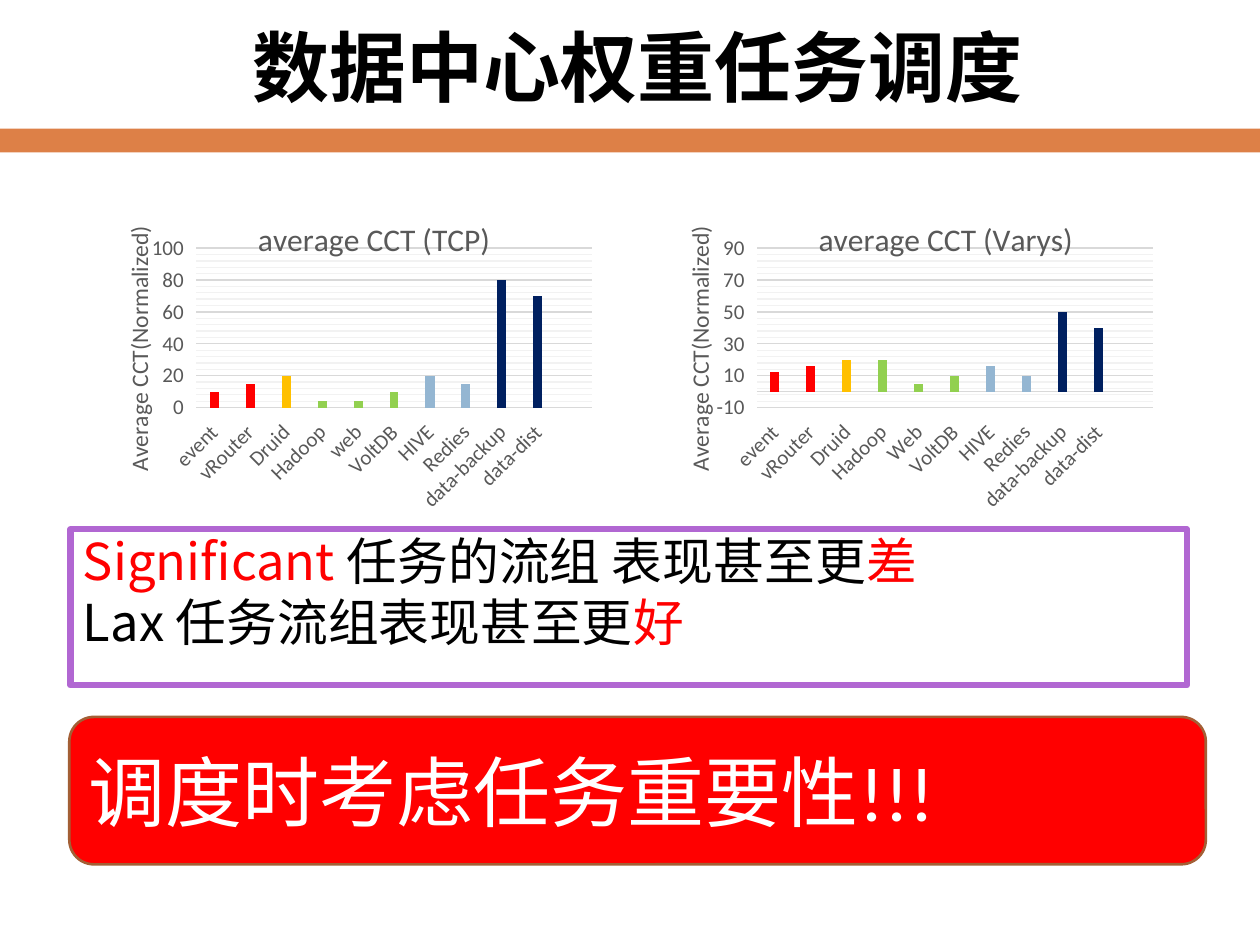
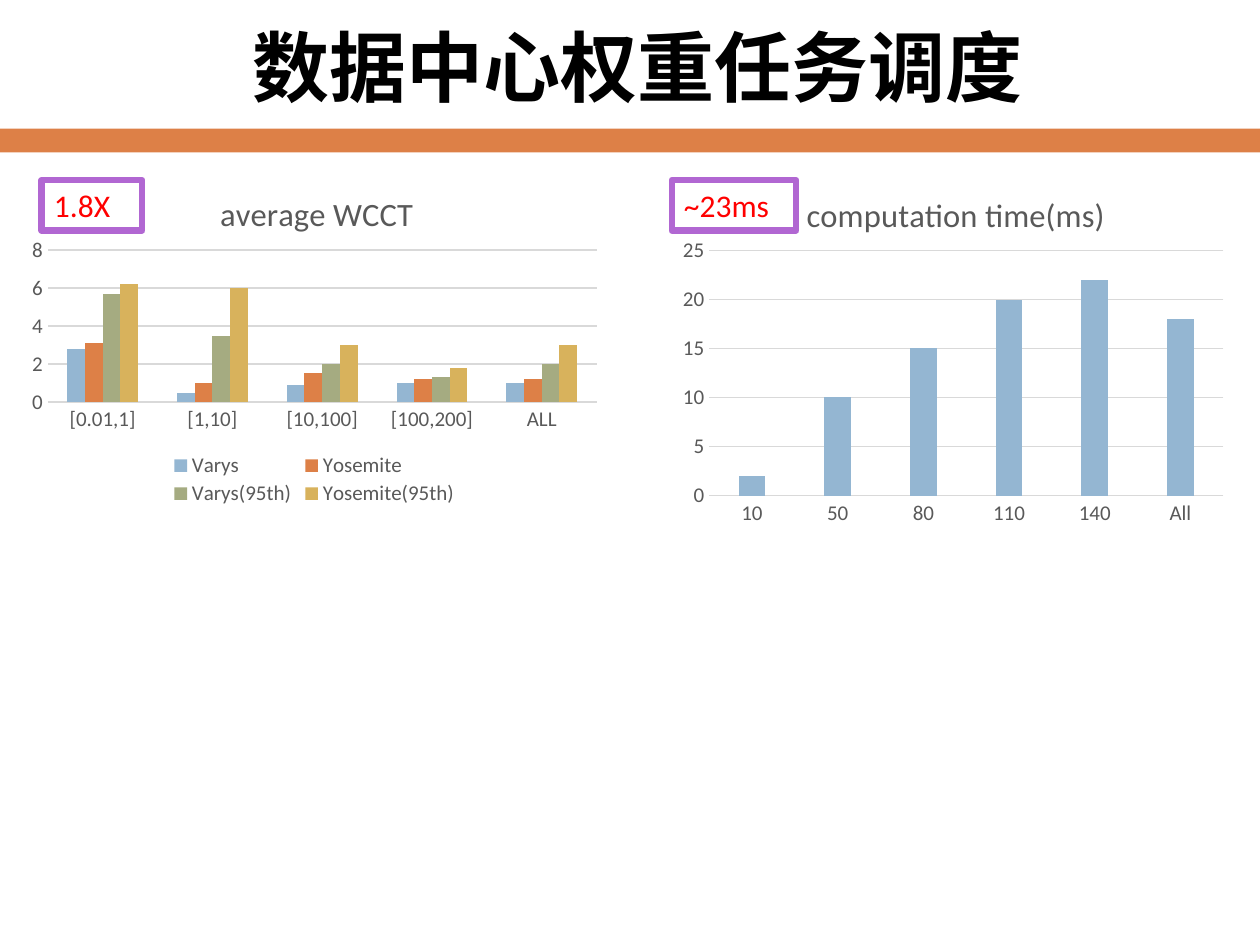
import pptx
import pptx.chart.data
import pptx.dml.color
import pptx.enum.chart
import pptx.enum.shapes
import pptx.enum.text
import pptx.oxml
import pptx.oxml.ns
import pptx.util
from pptx.util import Inches

COLORS = {
    "orange": "DD8047", "purple": "B167D2", "brown": "A35F35",
    "red": "FF0000", "black": "000000", "white": "FFFFFF",
    "gray": "595959", "grid": "D9D9D9", "minor": "F2F2F2",
    "blue": "94B6D2", "olive": "A5AB81", "gold": "D8B25C",
    "amber": "FFC000", "green": "92D050", "navy": "002060",
}
LATIN, CJK = "Calibri", "Noto Sans CJK SC"
TITLE = "数据中心权重任务调度"
TASK_COLORS = ["red"] * 2 + ["amber"] + ["green"] * 3 + ["blue"] * 2 + ["navy"] * 2
SHAPE = pptx.enum.shapes.MSO_SHAPE
MIDDLE = pptx.enum.text.MSO_ANCHOR.MIDDLE
TICK = pptx.enum.chart.XL_TICK_MARK


def rgb(name):
    return pptx.dml.color.RGBColor.from_string(COLORS[name])


def apply(obj, values):
    for key, value in values.items():
        setattr(obj, key, value)


def set_font(font, size, color, name=LATIN, bold=False):
    apply(font, {"size": pptx.util.Pt(size), "name": name, "bold": bold})
    font.color.rgb = rgb(color)


def set_line(line, color, width=0.75):
    line.color.rgb = rgb(color)
    line.width = pptx.util.Pt(width)


# Text and shapes
def add_runs(p, runs, size, name=LATIN, bold=False):
    for text, color in runs:
        r = p.add_run()
        r.text = text
        set_font(r.font, size, color, name, bold)
        ea = pptx.oxml.parse_xml(
            f'<a:ea {pptx.oxml.ns.nsdecls("a")} typeface="{CJK}"/>')
        r.font._element.find(pptx.oxml.ns.qn("a:latin")).addnext(ea)


def add_box(slide, kind, box, fill=None, line=None, width=3.5):
    sp = slide.shapes.add_shape(kind, *map(Inches, box))
    sp.shadow.inherit = False
    if fill:
        sp.fill.solid()
        sp.fill.fore_color.rgb = rgb(fill)
    else:
        sp.fill.background()
    if line:
        set_line(sp.line, line, width)
    else:
        sp.line.fill.background()
    apply(sp.text_frame, {"word_wrap": True, "vertical_anchor": MIDDLE})
    sp.text_frame.paragraphs[0].alignment = pptx.enum.text.PP_ALIGN.LEFT
    return sp


def add_badge(slide, text, left, width):
    sp = add_box(slide, SHAPE.RECTANGLE, (left, 1.43, width, 0.4), line="purple")
    add_runs(sp.text_frame.paragraphs[0], [(text, "red")], 18)


def add_findings(slide, lines):
    sp = add_box(slide, SHAPE.RECTANGLE, (0.56, 4.2, 8.86, 1.24), line="purple")
    tf = sp.text_frame
    apply(tf, {"vertical_anchor": pptx.enum.text.MSO_ANCHOR.TOP,
               "margin_top": Inches(0.1)})
    for i, runs in enumerate(lines):
        p = tf.add_paragraph() if i else tf.paragraphs[0]
        apply(p, {"alignment": pptx.enum.text.PP_ALIGN.LEFT, "line_spacing": 0.8,
                  "space_before": pptx.util.Pt(7 if i else 0)})
        add_runs(p, runs, 29, CJK)


def add_callout(slide, text):
    sp = add_box(slide, SHAPE.ROUNDED_RECTANGLE, (0.55, 5.69, 9.02, 1.17),
                 "red", "brown", 1.5)
    add_runs(sp.text_frame.paragraphs[0], [(text, "white")], 44)


def add_base_slide(prs):
    slide = prs.slides.add_slide(prs.slide_layouts[6])
    add_box(slide, SHAPE.RECTANGLE, (0, 1.02, 10, 0.19), "orange")
    tf = slide.shapes.add_textbox(*map(Inches, (0.33, 0.14, 9.46, 0.77))).text_frame
    apply(tf, {"word_wrap": True, "vertical_anchor": MIDDLE})
    tf.paragraphs[0].alignment = pptx.enum.text.PP_ALIGN.CENTER
    add_runs(tf.paragraphs[0], [(TITLE, "black")], 44, CJK, True)
    return slide


# Charts
def set_layout(element, x, y, w=None, h=None, inner=False):
    """Place a chart part by fractions of the chart area."""
    old = element.find(pptx.oxml.ns.qn("c:layout"))
    if old is not None:
        element.remove(old)
    target = '<c:layoutTarget val="inner"/>' if inner else ""
    sizes = f'<c:w val="{w}"/><c:h val="{h}"/>' if w else ""
    layout = pptx.oxml.parse_xml(
        f'<c:layout {pptx.oxml.ns.nsdecls("c")}><c:manualLayout>{target}'
        f'<c:xMode val="edge"/><c:yMode val="edge"/>'
        f'<c:x val="{x}"/><c:y val="{y}"/>{sizes}</c:manualLayout></c:layout>')
    overlay = element.find(pptx.oxml.ns.qn("c:overlay"))
    if overlay is None:
        element.insert(0, layout)
    else:
        overlay.addprevious(layout)


def set_title(title, text, size, x, y):
    p = title.text_frame.paragraphs[0]
    r = p.add_run()
    r.text = text
    set_font(r.font, size, "gray")
    set_layout(title._element, x, y)


def add_minor_gridlines(chart, color):
    lines = pptx.oxml.parse_xml(
        f'<c:minorGridlines {pptx.oxml.ns.nsdecls("c", "a")}><c:spPr>'
        f'<a:ln w="{pptx.util.Pt(0.75)}"><a:solidFill>'
        f'<a:srgbClr val="{COLORS[color]}"/></a:solidFill></a:ln>'
        f'</c:spPr></c:minorGridlines>')
    chart.element.xpath(".//c:valAx/c:majorGridlines")[0].addnext(lines)


def add_columns(slide, box, cats, series, plot, gap, overlap=0):
    """Add a column chart; series holds (name, values, colour)."""
    data = pptx.chart.data.CategoryChartData()
    data.categories = cats
    for name, values, _ in series:
        data.add_series(name, values)
    chart = slide.shapes.add_chart(
        pptx.enum.chart.XL_CHART_TYPE.COLUMN_CLUSTERED,
        *map(Inches, box), data).chart
    set_font(chart.font, 10, "black")
    apply(chart, {"has_title": False, "has_legend": False})
    columns = chart.plots[0]
    apply(columns, {"gap_width": gap, "overlap": overlap, "vary_by_categories": False})
    for ser, (_, _, color) in zip(columns.series, series):
        ser.format.fill.solid()
        ser.format.fill.fore_color.rgb = rgb(color)
    for axis in (chart.category_axis, chart.value_axis):
        apply(axis, {"major_tick_mark": TICK.NONE, "minor_tick_mark": TICK.NONE})
        set_font(axis.tick_labels.font, 12, "gray")
    set_line(chart.category_axis.format.line, "grid")
    chart.value_axis.format.line.fill.background()
    set_line(chart.value_axis.major_gridlines.format.line, "grid")
    set_layout(chart.element.xpath(".//c:plotArea")[0], *plot, inner=True)
    return chart


def add_task_chart(slide, left, name, cats, values, low, high):
    """Chart of one scheduler with a colour for each task."""
    chart = add_columns(slide, (left, 1.6, 4.24, 2.66), cats + [""],
                        [("Series 1", values + [None], "blue")],
                        (0.195, 0.139, 0.741, 0.476), 300)
    for i, color in enumerate(TASK_COLORS):
        fill = chart.plots[0].series[0].points[i].format.fill
        fill.solid()
        fill.fore_color.rgb = rgb(color)
    cat, val = chart.category_axis, chart.value_axis
    set_scale(chart, low, high, 20)
    apply(val, {"minor_unit": 4, "major_tick_mark": TICK.OUTSIDE})
    add_minor_gridlines(chart, "minor")
    cat.tick_label_position = pptx.enum.chart.XL_TICK_LABEL_POSITION.LOW
    chart.element.xpath(".//c:catAx/c:txPr/a:bodyPr")[0].set("rot", "-2700000")
    set_title(cat.axis_title, f"average CCT ({name})", 18, 0.3, 0.03)
    set_title(val.axis_title, "Average CCT(Normalized)", 13.5, 0.05, 0.06)
    body = chart.element.xpath(".//c:valAx/c:title//a:bodyPr")[0]
    body.set("rot", "-5400000")
    body.set("vert", "horz")


def add_legend(chart):
    chart.has_legend = True
    apply(chart.legend, {"position": pptx.enum.chart.XL_LEGEND_POSITION.BOTTOM,
                         "include_in_layout": False})
    set_font(chart.legend.font, 12, "gray")
    set_layout(chart.legend._element, 0.25, 0.82, 0.5, 0.17)


def set_scale(chart, low, high, step):
    apply(chart.value_axis, {"minimum_scale": low, "maximum_scale": high,
                             "major_unit": step})


# Slides
def build_problem(prs):
    slide = add_base_slide(prs)
    add_findings(slide, [
        [("Significant ", "red"), ("任务的流组 表现甚至更", "black"), ("差", "red")],
        [("Lax 任务流组表现甚至更", "black"), ("好", "red")],
    ])
    add_callout(slide, "调度时考虑任务重要性!!!")
    first = ["event", "vRouter", "Druid", "Hadoop"]
    rest = ["VoltDB", "HIVE", "Redies", "data-backup", "data-dist"]
    add_task_chart(slide, 5.18, "Varys", first + ["Web"] + rest,
                   [12, 16, 20, 20, 5, 10, 16, 10, 50, 40], -10, 90)
    add_task_chart(slide, 0.73, "TCP", first + ["web"] + rest,
                   [10, 15, 20, 4, 4, 10, 20, 15, 80, 70], 0, 100)


def build_results(prs):
    slide = add_base_slide(prs)
    wcct = add_columns(
        slide, (0.16, 1.3, 4.67, 2.77),
        ["[0.01,1]", "[1,10]", "[10,100]", "[100,200]", "ALL"],
        [("Varys", [2.8, 0.5, 0.9, 1, 1], "blue"),
         ("Yosemite", [3.1, 1, 1.5, 1.2, 1.2], "orange"),
         ("Varys(95th)", [5.7, 3.5, 2, 1.3, 2], "olive"),
         ("Yosemite(95th)", [6.2, 6, 3, 1.8, 3], "gold")],
        (0.047, 0.247, 0.933, 0.436), 219)
    set_scale(wcct, 0, 8, 2)
    set_title(wcct.chart_title, "average WCCT", 18.6, 0.33, 0.06)
    add_legend(wcct)
    timing = add_columns(
        slide, (5.33, 1.3, 4.46, 2.93), ["10", "50", "80", "110", "140", "All"],
        [("Series 1", [2, 10, 15, 20, 22, 18], "blue")],
        (0.067, 0.235, 0.915, 0.664), 219, -27)
    set_scale(timing, 0, 25, 5)
    set_title(timing.chart_title, "computation time(ms)", 18.6, 0.23, 0.06)
    add_badge(slide, "1.8X", 0.33, 0.8)
    add_badge(slide, "~23ms", 5.33, 0.99)


def main():
    prs = pptx.Presentation()
    apply(prs, {"slide_width": Inches(10), "slide_height": Inches(7.5)})
    build_problem(prs)
    build_results(prs)
    prs.save("out.pptx")


if __name__ == "__main__":
    main()
